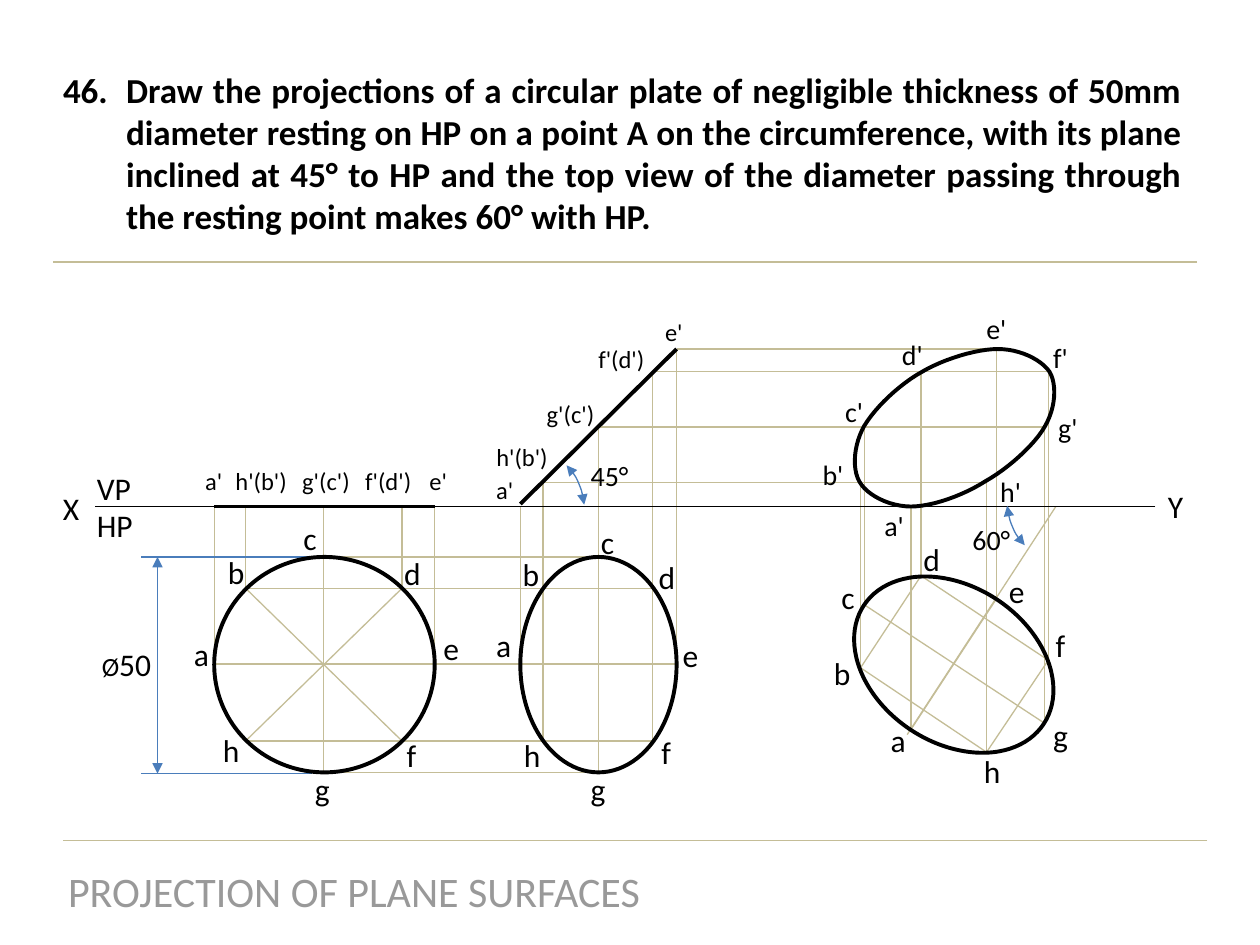
from lxml.etree import SubElement
from pptx import Presentation
from pptx.dml.color import RGBColor
from pptx.enum.shapes import MSO_CONNECTOR as CONNECTOR, MSO_SHAPE as SHAPE
from pptx.enum.text import MSO_ANCHOR as ANCHOR, MSO_AUTO_SIZE as AUTO_SIZE, PP_ALIGN as ALIGN
from pptx.oxml.ns import qn
from pptx.util import Inches, Pt

BLACK, GUIDE, BLUE, GREY = "000000", "C4BD97", "4A7DBB", "999999"

prs = Presentation()
prs.slide_width, prs.slide_height = Inches(10), Inches(7.5)
slide = prs.slides.add_slide(prs.slide_layouts[1])
shapes = slide.shapes


def write(text, at, holder=None, size=18, color=BLACK, bold=False, align=ALIGN.LEFT, right_inset=0):
    left, top, width, height = map(Inches, at)
    holder = holder or shapes.add_textbox(left, top, width, height)
    holder.left, holder.top, holder.width, holder.height = left, top, width, height
    frame = holder.text_frame
    frame.text = text
    frame.word_wrap = True
    frame.auto_size = AUTO_SIZE.NONE
    frame.vertical_anchor = ANCHOR.TOP
    frame.margin_right = Inches(right_inset)
    for paragraph in frame.paragraphs:
        paragraph.alignment = align
        paragraph.space_before = Pt(0)
        for run in paragraph.runs:
            run.font.name, run.font.size, run.font.bold = "Calibri", Pt(size), bold
            run.font.color.rgb = RGBColor.from_string(color)
    return frame


def stroke(shape, color=BLACK, width=2.25, arrows=False):
    shape.line.color.rgb = RGBColor.from_string(color)
    shape.line.width = Pt(width)
    if arrows:
        for end in ("a:headEnd", "a:tailEnd"):
            SubElement(shape.line._get_or_add_ln(), qn(end), type="triangle")
    if hasattr(shape, "fill"):
        shape.fill.background()
        shape.shadow.inherit = False
    else:
        SubElement(shape._element.spPr, qn("a:effectLst"))


write("PROJECTION OF PLANE SURFACES", (0.42, 6.82, 4.78, 0.5), holder=shapes.title,
      size=24, color=GREY, align=ALIGN.CENTER, right_inset=0.1)
problem = write(
    "Draw the projections of a circular plate of negligible thickness of 50mm diameter "
    "resting on HP on a point A on the circumference, with its plane inclined at 45° to HP "
    "and the top view of the diameter passing through the resting point makes 60° with HP.",
    (0.4, 0.49, 9.08, 1.45), holder=slide.placeholders[1],
    size=20, bold=True, align=ALIGN.JUSTIFY, right_inset=0.1)
numbering = problem.paragraphs[0]._p.get_or_add_pPr()
numbering.set("marL", str(Inches(0.5)))
numbering.set("indent", str(Inches(-0.5)))
SubElement(SubElement(numbering, qn("a:buClr")), qn("a:srgbClr"), val=BLACK)
SubElement(numbering, qn("a:buFont"), typeface="+mj-lt")
SubElement(numbering, qn("a:buAutoNum"), type="arabicPeriod", startAt="46")

GROUND = 4.02
heights = dict(zip("abcdefgh", (4.02, 3.83, 3.39, 2.95, 2.77, 2.95, 3.39, 3.83)))
depths = dict(zip("abcdefgh", (5.27, 4.67, 4.42, 4.67, 5.27, 5.88, 6.13, 5.88)))
circle_x = dict(zip("abcdefgh", (1.7, 1.95, 2.57, 3.19, 3.45, 3.19, 2.57, 1.95)))
tilted_x = dict(zip("abcdefgh", (4.13, 4.31, 4.75, 5.18, 5.37, 5.18, 4.75, 4.31)))
circle = {p: (circle_x[p], depths[p]) for p in depths}
tilted = {p: (tilted_x[p], depths[p]) for p in depths}
turned = dict(zip("abcdefgh", ((7.23, 5.79), (6.83, 5.3), (6.86, 4.8), (7.31, 4.57),
                               (7.91, 4.75), (8.32, 5.24), (8.29, 5.74), (7.83, 5.97))))

guides = [((9.58, 6.67), (0.5, 6.67)), ((9.5, 2.08), (0.42, 2.08)), ((7.2, 5.83), (8.38, GROUND))]
guides += [(circle[p], (circle_x[p], GROUND)) for p in "abgde"]
guides += [(circle[p], circle[q]) for p, q in ("ae", "bf", "hd")]
guides += [(tilted[p], (tilted_x[p], heights[p])) for p in "aefgh"]
guides += [(circle[p], tilted[q]) for p, q in ("cc", "bd", "ee", "hf", "gg")]
guides += [(turned[p], (turned[p][0], heights[p])) for p in turned]
guides += [(turned[p], turned[q]) for p, q in ("cg", "fd", "hb", "bd", "ae", "hf")]
guides += [((tilted_x[p], heights[p]), (turned[q][0], heights[p])) for p, q in ("bh", "cg", "df", "ee")]

lines = [(start, end, GUIDE, 0.75, False) for start, end in guides]
lines += [
    ((9.17, GROUND), (0.75, GROUND), BLACK, 0.75, False),
    ((1.25, 4.42), (1.25, 6.14), BLUE, 0.75, True),
    ((1.12, 4.42), (2.48, 4.42), BLUE, 0.75, False),
    ((1.12, 6.14), (2.48, 6.14), BLUE, 0.75, False),
    ((3.45, GROUND), (1.7, GROUND), BLACK, 2.25, False),
    ((5.37, 2.77), (4.13, 4), BLACK, 2.25, False),
]
for start, end, color, width, arrows in lines:
    stroke(shapes.add_connector(CONNECTOR.STRAIGHT, *map(Inches, start + end)), color, width, arrows)

for left, width, rotation in ((1.7, 1.75, 0), (4.13, 1.24, 0), (6.95, 1.24, 303.4)):
    plate = shapes.add_shape(SHAPE.OVAL, *map(Inches, (left, 4.42, width, 1.71)))
    plate.rotation = rotation
    stroke(plate)

for left, top, rotation in ((3.97, 3.61, 0), (7.99, 3.49, 180)):
    angle = shapes.add_shape(SHAPE.ARC, *map(Inches, (left, top, 0.67, 0.92)))
    for index, degrees in enumerate((297, 349)):
        angle.adjustments[index] = degrees * 0.6
    angle.rotation = rotation
    stroke(angle, BLUE, 0.75, arrows=True)

front_start = (7.82, 3.82)
front_curves = [
    ((8, 3.72), (8.21, 3.53), (8.29, 3.39)), ((8.38, 3.24), (8.39, 3.05), (8.33, 2.95)),
    ((8.26, 2.85), (8.09, 2.77), (7.92, 2.77)), ((7.75, 2.77), (7.49, 2.85), (7.32, 2.95)),
    ((7.14, 3.05), (6.95, 3.23), (6.86, 3.38)), ((6.78, 3.52), (6.76, 3.71), (6.82, 3.82)),
    ((6.88, 3.93), (7.06, 4.02), (7.23, 4.02)), ((7.4, 4.02), (7.65, 3.93), front_start),
]
STEPS = 12
front_points, start = [], front_start
for bend_out, bend_in, end in front_curves:
    for t in (step / STEPS for step in range(1, STEPS + 1)):
        front_points.append(tuple(
            Inches((1 - t) ** 3 * p + 3 * (1 - t) ** 2 * t * q + 3 * (1 - t) * t ** 2 * r + t ** 3 * s)
            for p, q, r, s in zip(start, bend_out, bend_in, end)))
    start = end
front_view = shapes.build_freeform(*map(Inches, front_start))
front_view.add_line_segments(front_points, close=True)
stroke(front_view.convert_to_shape())

plan_labels = [
    ((1.44, 4.99), (1.71, 4.34), (2.31, 4.07), (3.11, 4.35), (3.42, 4.94), (3.13, 5.79), (2.4, 6.06), (1.67, 5.75)),
    ((3.84, 4.92), (4.05, 4.36), (4.67, 4.1), (5.13, 4.38), (5.32, 5), (5.15, 5.77), (4.59, 6.06), (4.06, 5.79)),
    ((6.97, 5.67), (6.52, 5.14), (6.58, 4.54), (7.23, 4.24), (7.91, 4.49), (8.28, 4.92), (8.26, 5.63), (7.71, 5.92)),
]
for corners in plan_labels:
    for letter, corner in zip("abcdefgh", corners):
        write(letter, (*corner, 0.34, 0.4))

edge_names = ("a'", "h'(b')", "g'(c')", "f'(d')", "e'")
edge_labels = [
    ((1.53, 3.65), (1.77, 3.65), (2.3, 3.65), (2.8, 3.65), (3.31, 3.65)),
    ((3.84, 3.72), (3.84, 3.46), (4.24, 3.12), (4.65, 2.68), (5.18, 2.47)),
]
for corners in edge_labels:
    for name, corner in zip(edge_names, corners):
        write(name, (*corner, 0.62 if "(" in name else 0.34, 0.34), size=14)

front_labels = ((6.92, 3.99), (6.43, 3.58), (6.61, 3.08), (7.06, 2.63),
                (7.73, 2.42), (8.26, 2.65), (8.3, 3.21), (7.84, 3.72))
for letter, corner in zip("abcdefgh", front_labels):
    write(letter + "'", (*corner, 0.37, 0.37), size=16)

write("45°", (4.59, 3.59, 0.54, 0.37), size=16)
write("60°", (7.62, 4.1, 0.54, 0.37), size=16)
write("X", (0.4, 3.83, 0.33, 0.4))
write("Y", (9.17, 3.82, 0.32, 0.4))
write("VP\nHP", (0.67, 3.67, 0.49, 0.71))
diameter = write("Ø", (0.71, 5.07, 0.6, 0.4), size=15)
amount = diameter.paragraphs[0].add_run()
amount.text = "50"
amount.font.name, amount.font.size = "Calibri", Pt(18)
amount.font.color.rgb = RGBColor.from_string(BLACK)

prs.save("out.pptx")
